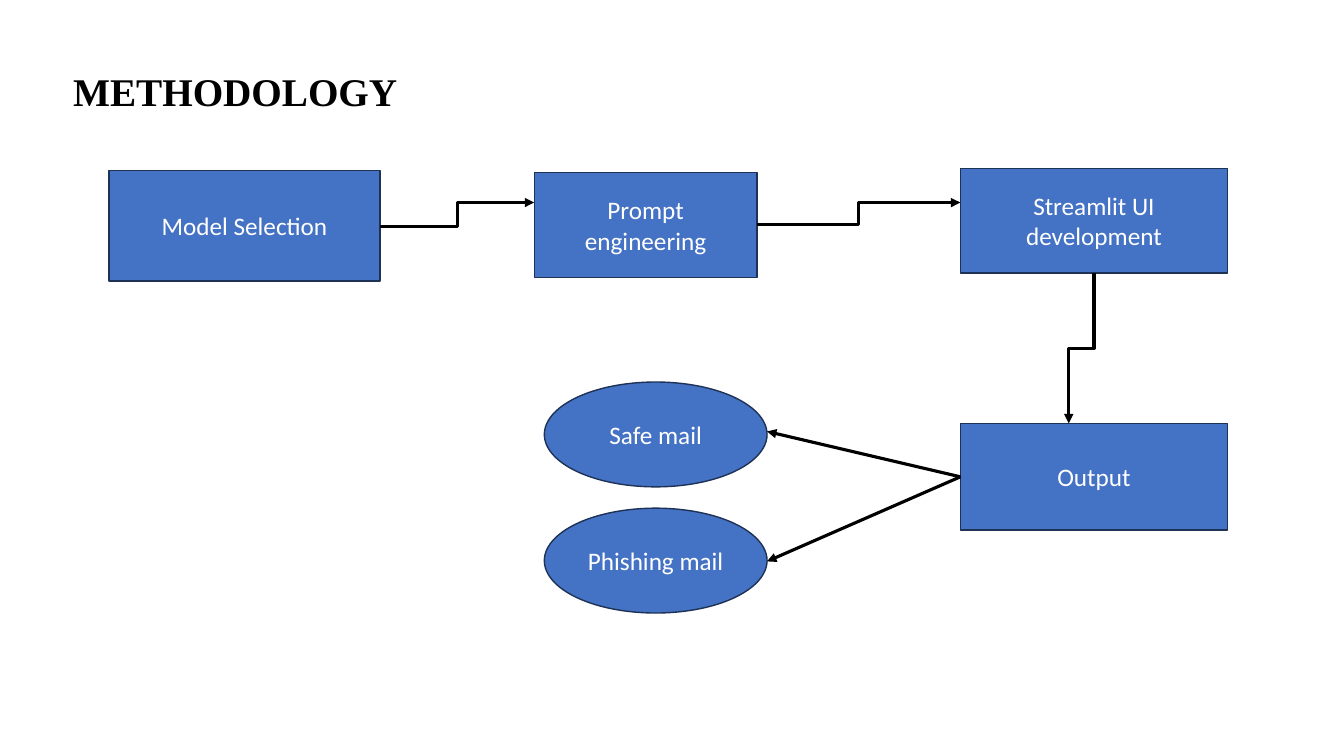
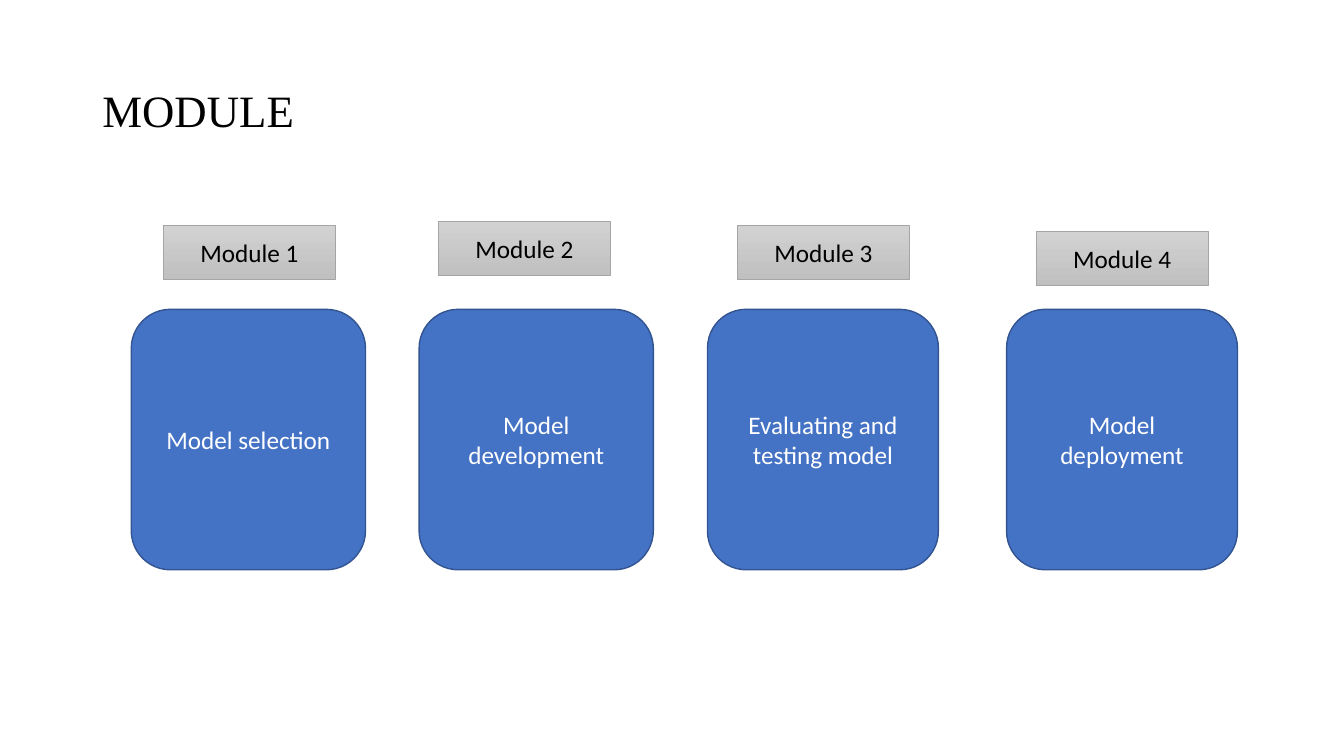
import pptx
import pptx.util
import pptx.dml.color
import pptx.enum.shapes
import pptx.enum.text
import lxml.etree
import pptx.oxml.ns

Pt = pptx.util.Pt
RGBColor = pptx.dml.color.RGBColor
Shape = pptx.enum.shapes.MSO_SHAPE
Connector = pptx.enum.shapes.MSO_CONNECTOR
qn = pptx.oxml.ns.qn

BLACK = RGBColor(0x00, 0x00, 0x00)
WHITE = RGBColor(0xFF, 0xFF, 0xFF)
BLUE = RGBColor(0x44, 0x72, 0xC4)
NAVY = RGBColor(0x1E, 0x32, 0x56)
DEEP_BLUE = RGBColor(0x32, 0x54, 0x91)
GRAY_TOP = RGBColor(0xD2, 0xD2, 0xD2)
GRAY_BOTTOM = RGBColor(0xC0, 0xC0, 0xC0)
GRAY_LINE = RGBColor(0xA5, 0xA5, 0xA5)


def add_block(page, kind, frame, text, outline, color=WHITE, weight=1):
    """Add a blue shape with a centred label; frame is left, top, width, height."""
    shape = page.shapes.add_shape(kind, *[Pt(length) for length in frame])
    shape.shadow.inherit = False
    shape.fill.solid()
    shape.fill.fore_color.rgb = BLUE
    shape.line.color.rgb = outline
    shape.line.width = Pt(weight)
    shape.text_frame.text = text
    shape.text_frame.vertical_anchor = pptx.enum.text.MSO_ANCHOR.MIDDLE
    para = shape.text_frame.paragraphs[0]
    para.alignment = pptx.enum.text.PP_ALIGN.CENTER
    font = para.runs[0].font
    font.name, font.size, font.color.rgb = "Calibri", Pt(18), color
    return shape


def add_arrow(page, kind, start, end):
    """Add a black connector with an arrowhead at its end."""
    arrow = page.shapes.add_connector(kind, *[Pt(value) for value in start + end])
    arrow.line.color.rgb = BLACK
    arrow.line.width = Pt(2.25)
    head = lxml.etree.SubElement(arrow.line._get_or_add_ln(), qn("a:tailEnd"))
    head.set("type", "triangle")
    lxml.etree.SubElement(arrow.element.spPr, qn("a:effectLst"))
    return arrow


deck = pptx.Presentation()
deck.slide_width, deck.slide_height = Pt(960), Pt(540)

# Pages with their titles
pages = []
for title, left, top, size, bold in [
    ("METHODOLOGY", 45.2, 14.6, 28, True),
    ("MODULE", 66, 28.75, 32, False),
]:
    page = deck.slides.add_slide(deck.slide_layouts[6])
    box = page.shapes.add_textbox(Pt(left), Pt(top), Pt(828), Pt(104.4))
    box.text_frame.word_wrap = True
    box.text_frame.vertical_anchor = pptx.enum.text.MSO_ANCHOR.MIDDLE
    box.text_frame.text = title
    para = box.text_frame.paragraphs[0]
    para.line_spacing = 0.9
    font = para.runs[0].font
    font.name, font.size, font.bold = "Times New Roman", Pt(size), bold
    font.color.rgb = BLACK
    pages.append(page)
methodology, modules = pages

# Methodology: steps and outcomes
for kind, frame, text in [
    (Shape.RECTANGLE, (77.8, 121.7, 193.7, 79.2), "Model Selection"),
    (Shape.RECTANGLE, (381.6, 123.3, 159.1, 74.9), "Prompt engineering"),
    (Shape.RECTANGLE, (686, 120.2, 190.8, 74.9), "Streamlit UI development"),
    (Shape.RECTANGLE, (686, 302.4, 190.8, 76.3), "Output"),
    (Shape.OVAL, (388.8, 272.9, 159.1, 74.9), "Safe mail"),
    (Shape.OVAL, (388.8, 363, 159.1, 74.9), "Phishing mail"),
]:
    add_block(methodology, kind, frame, text, NAVY)

# Methodology: arrows
for kind, start, end in [
    (Connector.ELBOW, (271.5, 162), (381.6, 144.7)),
    (Connector.ELBOW, (540.7, 160.6), (686, 144.7)),
    (Connector.STRAIGHT, (686, 340.6), (547.9, 308.2)),
    (Connector.STRAIGHT, (686, 340.6), (547.9, 401)),
]:
    add_arrow(methodology, kind, start, end)

# The downward elbow is a horizontal one turned by 90 degrees about its centre
center_x, center_y, drop, shift = 772.4, 248.75, 107.3, 18
down = add_arrow(
    methodology,
    Connector.ELBOW,
    (center_x - drop / 2, center_y - shift / 2),
    (center_x + drop / 2, center_y + shift / 2),
)
down.element.spPr.find(qn("a:xfrm")).set("rot", "5400000")

# Modules: a card and a gray tag for each
for number, (text, left, width, tag_left, tag_top) in enumerate([
    ("Model selection", 93.8, 167.3, 116.8, 160.7),
    ("Model development", 299.4, 167.3, 313.2, 157.8),
    ("Evaluating and testing model", 505.4, 164.9, 526.8, 160.7),
    ("Model deployment", 719, 164.9, 740.2, 165.3),
], start=1):
    add_block(modules, Shape.ROUNDED_RECTANGLE, (left, 221, width, 186), text, DEEP_BLUE)
    tag = add_block(modules, Shape.RECTANGLE, (tag_left, tag_top, 122.7, 38.9),
                    f"Module {number}", GRAY_LINE, BLACK, 0.5)
    tag.fill.gradient()
    tag.fill.gradient_angle = 270
    for stop, shade in zip(tag.fill.gradient_stops, (GRAY_TOP, GRAY_BOTTOM)):
        stop.color.rgb = shade

deck.save("out.pptx")
